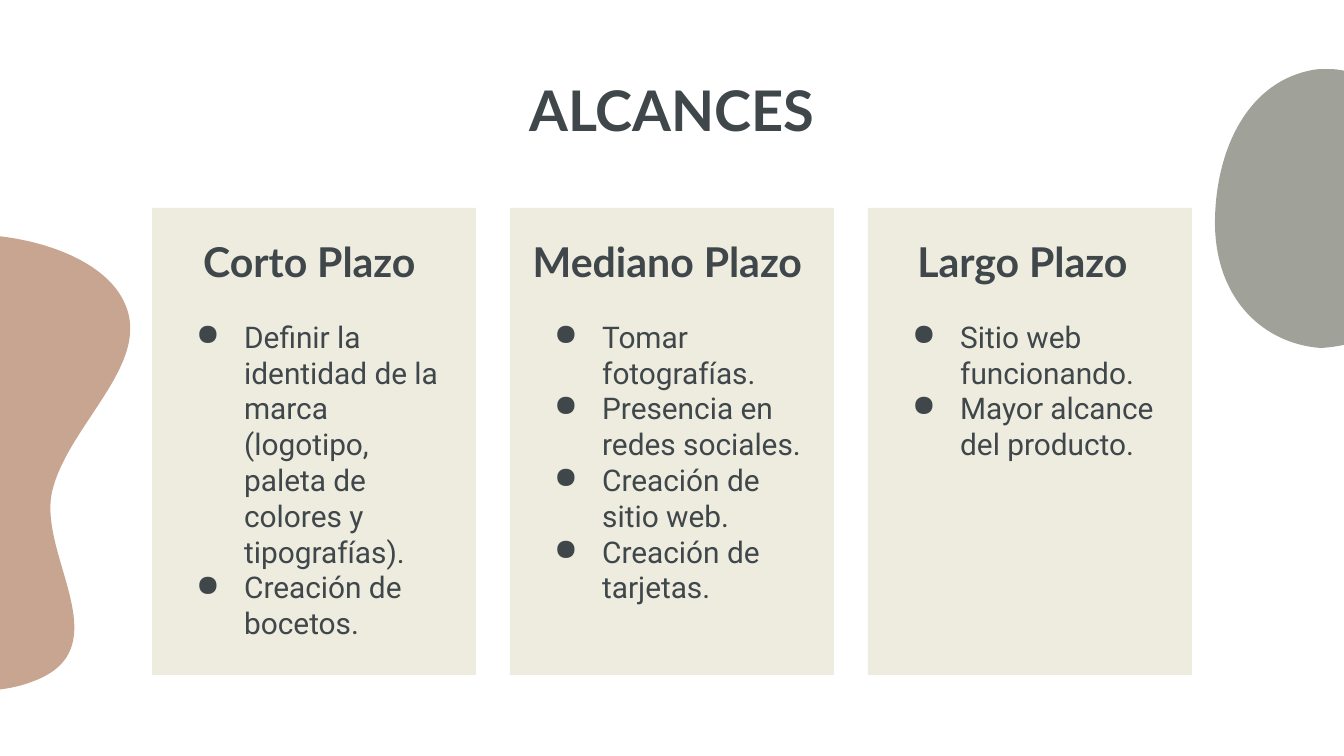
import pptx
import pptx.util
import pptx.dml.color
import pptx.enum.shapes
import pptx.enum.text
import pptx.oxml.ns
import lxml.etree

RGB = pptx.dml.color.RGBColor
INK = RGB(0x40, 0x47, 0x4B)
SAND = RGB(0xED, 0xEC, 0xDF)
CLAY = RGB(0xC8, 0xA5, 0x91)
GRAY = RGB(0xA0, 0xA2, 0x99)
ALIGN = pptx.enum.text.PP_ALIGN
ANCHOR = pptx.enum.text.MSO_ANCHOR
RECT = pptx.enum.shapes.MSO_SHAPE.RECTANGLE
SCALE = 914400 / 134.4  # EMU in one px
qn = pptx.oxml.ns.qn


def px(num):
    return pptx.util.Emu(round(num * SCALE))


def add_text(box, lines, font, size, bold, anchor, bullets=False):
    left, top, wide, high = box
    frame = slide.shapes.add_textbox(px(left), px(top), px(wide), px(high)).text_frame
    frame.word_wrap = True
    frame.vertical_anchor = anchor
    frame.margin_left = frame.margin_right = pptx.util.Inches(0.1)
    frame.margin_top = frame.margin_bottom = pptx.util.Inches(0.1)
    for i, line in enumerate(lines):
        para = frame.add_paragraph() if i else frame.paragraphs[0]
        para.alignment = ALIGN.LEFT if bullets else ALIGN.CENTER
        if bullets:
            props = para._p.get_or_add_pPr()
            props.set("marL", str(px(67)))
            props.set("indent", str(px(-48)))
            tint = lxml.etree.SubElement(props, qn("a:buClr"))
            lxml.etree.SubElement(tint, qn("a:srgbClr"), val=str(INK))
            lxml.etree.SubElement(props, qn("a:buChar"), char="●")
        run = para.add_run()
        run.text = line
        run.font.name = font
        run.font.size = pptx.util.Pt(size)
        run.font.bold = bold
        run.font.color.rgb = INK


deck = pptx.Presentation()
deck.slide_width, deck.slide_height = px(1344), px(756)
slide = deck.slides.add_slide(deck.slide_layouts[6])

# Side blobs: a start point, then two handles and an end point per curve
blobs = [
    (CLAY, (-228, 151), [
        (-218, 215), (-216, 282), (-124, 249),
        (-32, 215), (99, 242), (125, 304),
        (152, 364), (67, 426), (52, 492),
        (38, 556), (121, 648), (34, 681),
        (-52, 716), (-243, 656), (-206, 560),
        (-169, 464), (-258, 415), (-335, 360),
        (-411, 304), (-480, 142), (-387, 87),
        (-293, 32), (-238, 85), (-228, 151),
    ]),
    (GRAY, (1328, 69), [
        (1321, 69), (1315, 69), (1308, 71),
        (1246, 85), (1215, 152), (1215, 224),
        (1216, 301), (1265, 344), (1321, 348),
        (1396, 343), (1418, 297), (1423, 222),
        (1429, 152), (1395, 69), (1328, 69),
    ]),
]
for color, start, dots in blobs:
    pen = slide.shapes.build_freeform(px(start[0]), px(start[1]))
    pen.add_line_segments([(px(x), px(y)) for x, y in dots], close=True)
    blob = pen.convert_to_shape()
    blob.shadow.inherit = False
    blob.fill.solid()
    blob.fill.fore_color.rgb = color
    blob.line.fill.background()
    # Turn each three line points into one curve
    lines = list(blob._element.iter(qn("a:lnTo")))
    for i in range(0, len(dots), 3):
        curve = lxml.etree.Element(qn("a:cubicBezTo"))
        lines[i].addprevious(curve)
        for line in lines[i:i + 3]:
            curve.append(line[0])
    for line in lines:
        line.getparent().remove(line)

# Title
add_text((105, 77, 1134, 79), ["ALCANCES"], "Lato", 30, True, ANCHOR.BOTTOM)

# Cards: heading, heading shift, body height, bullets
cards = [
    ("Corto Plazo", 3, 356, [
        "Definir la identidad de la marca (logotipo, paleta de colores y tipografías).",
        "Creación de bocetos."]),
    ("Mediano Plazo", 3, 296, [
        "Tomar fotografías.",
        "Presencia en redes sociales.",
        "Creación de sitio web.",
        "Creación de tarjetas."]),
    ("Largo Plazo", 0, 164, [
        "Sitio web funcionando.",
        "Mayor alcance del producto."]),
]
for i, (head, shift, high, items) in enumerate(cards):
    left = 152 + 358 * i
    card = slide.shapes.add_shape(RECT, px(left), px(208), px(324), px(467))
    card.shadow.inherit = False
    card.fill.solid()
    card.fill.fore_color.rgb = SAND
    card.line.fill.background()
    add_text((left + shift, 231, 309, 60), [head], "Lato", 22, True, ANCHOR.MIDDLE)
    add_text((left + 12, 305, 301, high), items, "Roboto", 16, False, ANCHOR.TOP, True)

deck.save("out.pptx")
